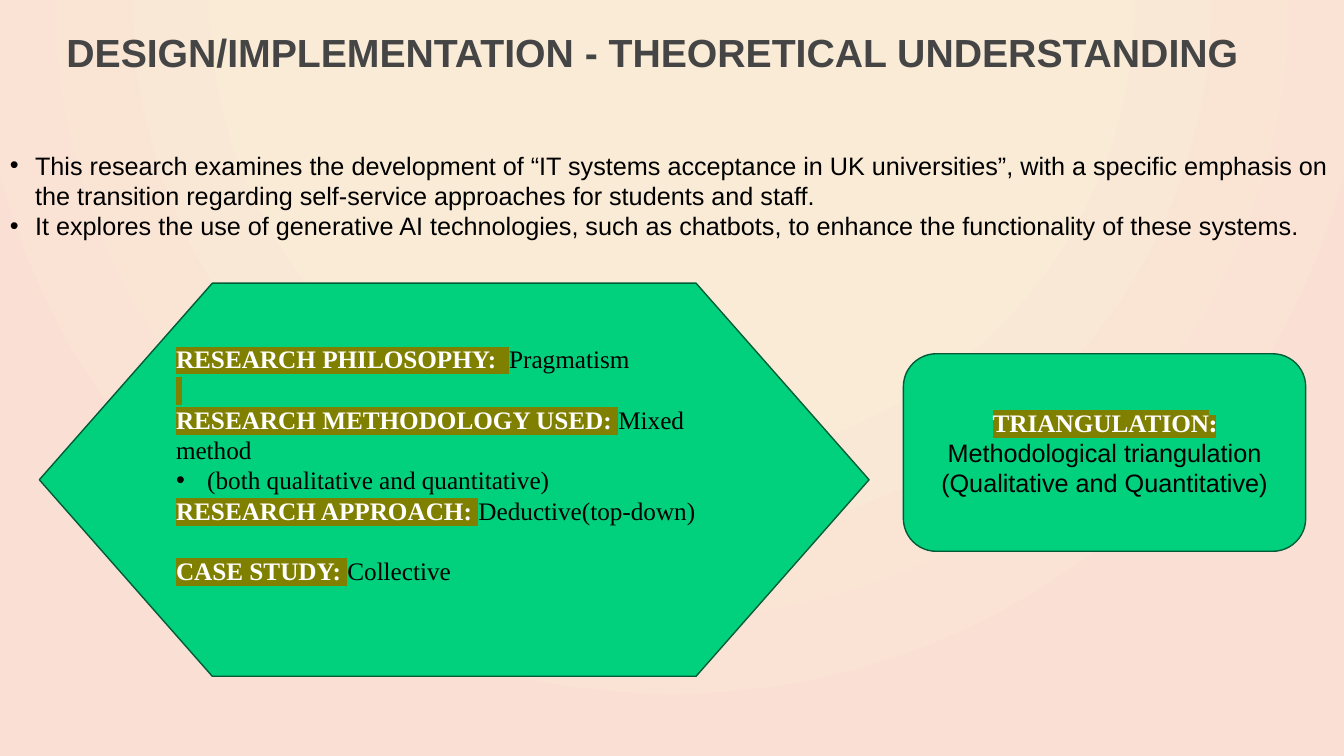
from lxml import etree
from pptx import Presentation
from pptx.dml.color import RGBColor
from pptx.enum.shapes import MSO_SHAPE
from pptx.enum.text import MSO_ANCHOR, PP_ALIGN
from pptx.oxml.ns import qn
from pptx.util import Emu, Inches, Pt

HEXAGON = MSO_SHAPE.HEXAGON
ROUNDED = MSO_SHAPE.ROUNDED_RECTANGLE
LEFT, CENTER = PP_ALIGN.LEFT, PP_ALIGN.CENTER
TOP, MIDDLE = MSO_ANCHOR.TOP, MSO_ANCHOR.MIDDLE

THEME = {
    "title": {"font": "Arial", "size": 28, "color": "454545", "bold": True},
    "body": {"font": "Arial", "size": 18, "color": "000000"},
    "label": {"font": "Times New Roman", "size": 18, "color": "FFFFFF",
              "bold": True, "highlight": "808000"},
    "colon": {"font": "League Spartan", "size": 18, "color": "FFFFFF",
              "bold": True, "highlight": "808000"},
    "answer": {"font": "Times New Roman", "size": 18, "color": "000000"},
    "panel": "01D17D",
    "outline": "005C37",
    "background": ((0, "F9EBD6"), (50, "F9EBD6"), (100, "FAE0D4")),
}

# Content: each paragraph is (runs, options), each run is (text, style)
TITLE = [([("DESIGN/IMPLEMENTATION - THEORETICAL UNDERSTANDING", "title")],
          {"line_spacing": 0.9})]
AIMS = [
    ([("This research examines the development of “IT systems acceptance in UK "
       "universities”, with a specific emphasis on the transition regarding "
       "self-service approaches for students and staff.", "body")], {"bullet": 0.25}),
    ([("It explores the use of generative AI technologies, such as chatbots, to "
       "enhance the functionality of these systems.", "body")], {"bullet": 0.25}),
]
METHOD = [
    ([("RESEARCH PHILOSOPHY:  ", "label"), ("Pragmatism", "answer")], {}),
    ([(" ", "label")], {}),
    ([("RESEARCH METHODOLOGY USED: ", "label"), ("Mixed method", "answer")], {}),
    ([("(both qualitative and quantitative)", "answer")], {"bullet": 0.31}),
    ([("RESEARCH APPROACH: ", "label"), ("Deductive(top-down)", "answer")], {}),
    ([("CASE STUDY: ", "label"), ("Collective", "answer")], {"space_before": 21.5}),
]
TRIANGULATION = [
    ([("TRIANGULATION", "label"), (": ", "colon"),
      ("Methodological triangulation", "body")], {}),
    ([("(Qualitative and Quantitative)", "body")], {}),
]

# Layout in inches: left, top, width, height
SLIDE_SIZE = (13.33, 7.5)
TITLE_BOX = (0.56, 0.23, 12.22, 0.63)
AIMS_BOX = (0, 1.44, 13.29, 1.0)
METHOD_BOX = (0.39, 2.81, 8.23, 3.9)
TRIANGULATION_BOX = (8.96, 3.51, 3.99, 1.96)
METHOD_BOTTOM_MARGIN = 0.35


def style_run(run, style):
    run.font.name = style["font"]
    run.font.size = Pt(style["size"])
    run.font.bold = style.get("bold", False)
    run.font.color.rgb = RGBColor.from_string(style["color"])
    if "highlight" in style:
        highlight = etree.Element(qn("a:highlight"))
        etree.SubElement(highlight, qn("a:srgbClr"), val=style["highlight"])
        run.font._element.find(qn("a:solidFill")).addnext(highlight)


def add_bullet(paragraph, indent):
    properties = paragraph._p.get_or_add_pPr()
    properties.set("marL", str(Inches(indent)))
    properties.set("indent", str(-Inches(indent)))
    etree.SubElement(properties, qn("a:buFont"), typeface="Arial")
    etree.SubElement(properties, qn("a:buChar"), char="•")


def write(shape, paragraphs, anchor=MIDDLE, alignment=LEFT):
    text_frame = shape.text_frame
    text_frame.word_wrap = True
    text_frame.vertical_anchor = anchor
    for index, (runs, options) in enumerate(paragraphs):
        paragraph = text_frame.add_paragraph() if index else text_frame.paragraphs[0]
        paragraph.alignment = alignment
        if "line_spacing" in options:
            paragraph.line_spacing = options["line_spacing"]
        if "space_before" in options:
            paragraph.space_before = Pt(options["space_before"])
        if "bullet" in options:
            add_bullet(paragraph, options["bullet"])
        for text, style in runs:
            run = paragraph.add_run()
            run.text = text
            style_run(run, THEME[style])


def add_panel(slide, kind, box):
    shape = slide.shapes.add_shape(kind, *map(Inches, box))
    shape.shadow.inherit = False
    shape.fill.solid()
    shape.fill.fore_color.rgb = RGBColor.from_string(THEME["panel"])
    shape.line.color.rgb = RGBColor.from_string(THEME["outline"])
    shape.line.width = Pt(1)
    return shape


def paint_background(slide):
    """Radial gradient spreading from the top centre."""
    fill = slide.background.fill
    fill.gradient()
    gradient = slide._element.find(".//" + qn("a:gradFill"))
    for child in list(gradient):
        gradient.remove(child)
    stops = etree.SubElement(gradient, qn("a:gsLst"))
    for position, color in THEME["background"]:
        stop = etree.SubElement(stops, qn("a:gs"), pos=str(position * 1000))
        etree.SubElement(stop, qn("a:srgbClr"), val=color)
    circle = etree.SubElement(gradient, qn("a:path"), {"path": "circle"})
    etree.SubElement(circle, qn("a:fillToRect"),
                     l="43000", t="0", r="43000", b="100000")


def main():
    presentation = Presentation()
    presentation.slide_width, presentation.slide_height = map(Inches, SLIDE_SIZE)
    slide = presentation.slides.add_slide(presentation.slide_layouts[6])
    paint_background(slide)

    # Title and research aims
    for box, paragraphs, anchor in ((TITLE_BOX, TITLE, MIDDLE), (AIMS_BOX, AIMS, TOP)):
        write(slide.shapes.add_textbox(*map(Inches, box)), paragraphs, anchor)

    # Research method
    method = add_panel(slide, HEXAGON, METHOD_BOX)
    method.adjustments[0] = 0.44
    method.text_frame.margin_bottom = Emu(Inches(METHOD_BOTTOM_MARGIN))
    write(method, METHOD)

    # Triangulation
    write(add_panel(slide, ROUNDED, TRIANGULATION_BOX), TRIANGULATION, alignment=CENTER)

    presentation.save("out.pptx")


if __name__ == "__main__":
    main()
